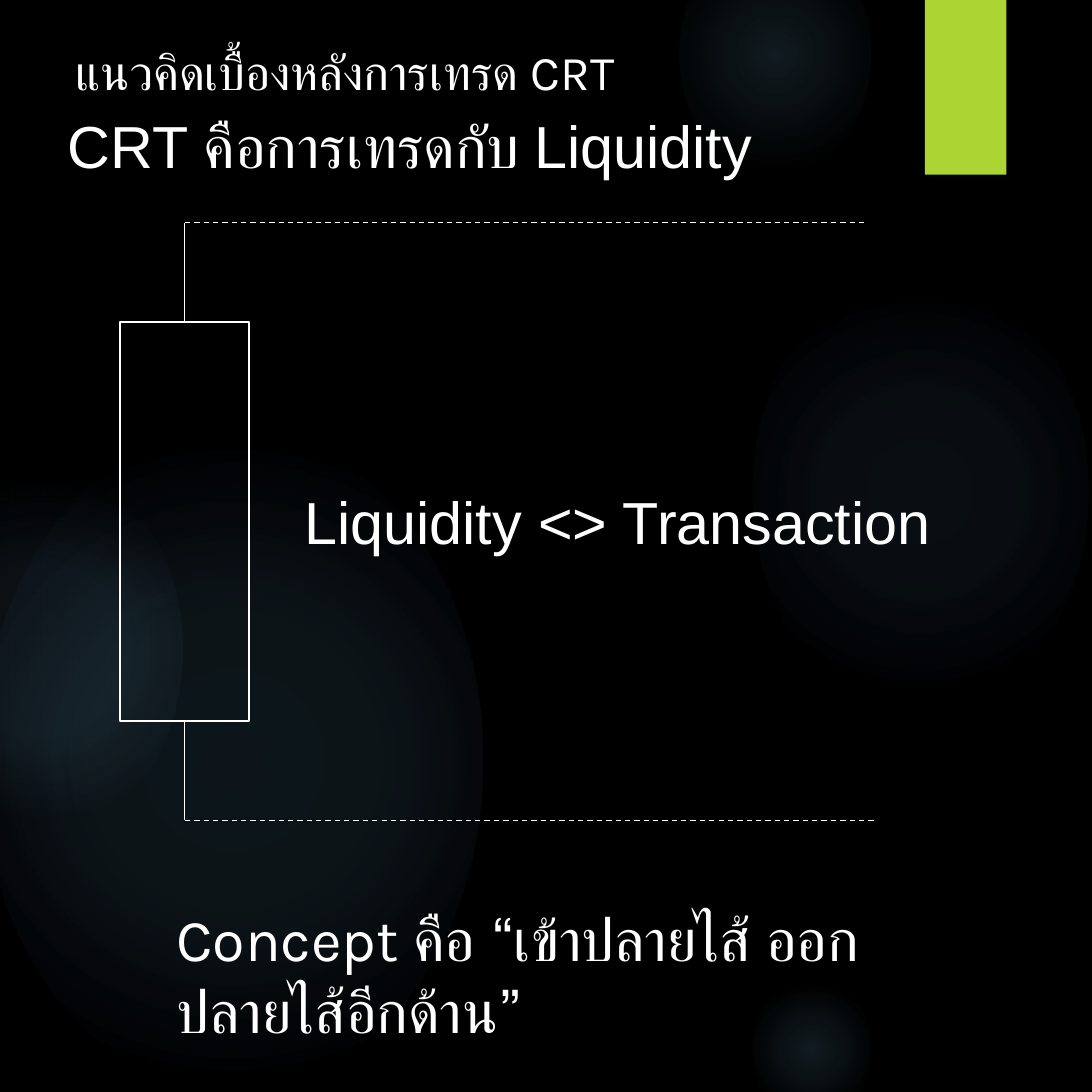
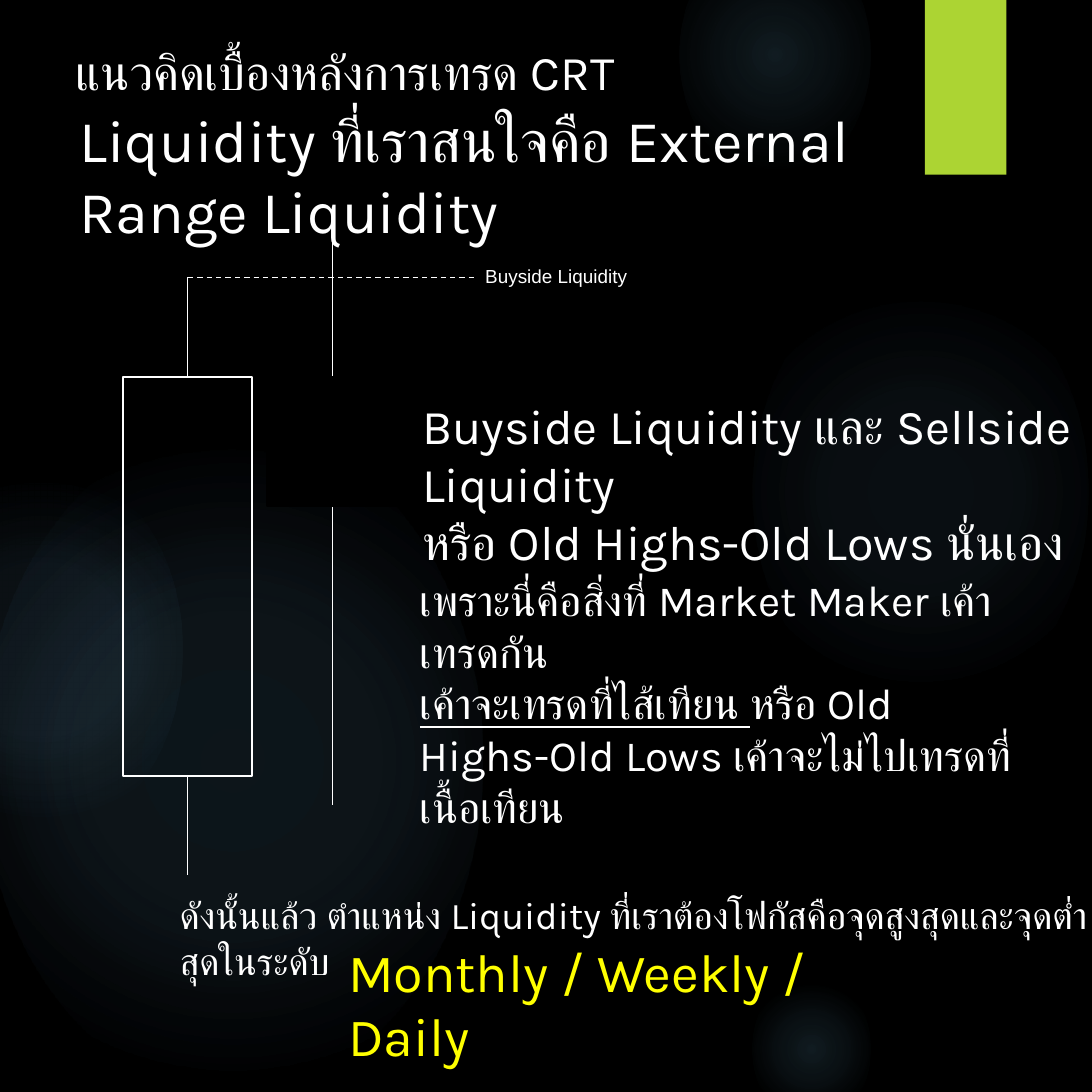
import lxml.etree
import pptx
import pptx.dml.color
import pptx.enum.dml
import pptx.enum.shapes
import pptx.enum.text
import pptx.oxml
import pptx.oxml.ns
import pptx.util

Cm = pptx.util.Cm
Pt = pptx.util.Pt
SHAPES = pptx.enum.shapes.MSO_SHAPE
STRAIGHT = pptx.enum.shapes.MSO_CONNECTOR.STRAIGHT
DASH = pptx.enum.dml.MSO_LINE.DASH
qn = pptx.oxml.ns.qn

BLACK, WHITE, GREEN, YELLOW, GLOW = "000000", "FFFFFF", "ACD433", "FFFF00", "7AC4F0"
LABEL = {"name": "Arial", "size": Pt(14)}
HEADLINE = {"name": "Arial", "size": Pt(44)}
TITLE = {"name": "Karla", "size": Pt(36)}
KARLA_HEADLINE = {"name": "Karla", "size": Pt(44)}
REASON = {"name": "Karla", "size": Pt(32)}
SUMMARY = {"name": "Karla", "size": Pt(28)}
TIMEFRAME = {"name": "Karla", "size": Pt(40)}


def paint(fill, colour):
    fill.solid()
    fill.fore_color.rgb = pptx.dml.color.RGBColor.from_string(colour)


def write(page, place, paragraphs, style, colour=WHITE, wrap=True):
    box = page.shapes.add_textbox(*map(Cm, place))
    frame = box.text_frame
    frame.word_wrap = wrap
    frame.auto_size = pptx.enum.text.MSO_AUTO_SIZE.SHAPE_TO_FIT_TEXT
    for index, spans in enumerate(paragraphs):
        para = frame.add_paragraph() if index else frame.paragraphs[0]
        for text in spans:
            span = para.add_run()
            span.text = text
            for name, value in style.items():
                setattr(span.font, name, value)
            paint(span.font.fill, colour)
    return box


deck = pptx.Presentation()
deck.slide_width = deck.slide_height = Cm(28.58)
paint(deck.slide_master.background.fill, BLACK)
layout = deck.slide_layouts[6]
for placeholder in list(layout.placeholders):
    layout.shapes.element.remove(placeholder.element)
pages = [deck.slides.add_slide(layout) for number in range(2)]

glows = [
    ((19.69, 6.99, 8.81, 11.73), ((0, 7), (36, 6), (69, 0))),
    ((17.78, -1.9, 5, 6.65), ((0, 14), (36, 7), (73, 0))),
    ((19.69, 25.4, 3.1, 4.11), ((0, 14), (36, 7), (66, 0))),
    ((-0.48, 11.13, 13.11, 17.48), ((0, 11), (36, 10), (75, 0))),
    ((-2.62, 12.07, 7.39, 9.86), ((0, 8), (36, 8), (72, 0))),
]
backdrop = []
for place, stops in glows:
    glow = pages[0].shapes.add_shape(SHAPES.OVAL, *map(Cm, place))
    glow.shadow.inherit = False
    glow.line.fill.background()
    stop_xml = "".join(
        f'<a:gs pos="{position * 1000}"><a:srgbClr val="{GLOW}">'
        f'<a:alpha val="{alpha * 1000}"/></a:srgbClr></a:gs>'
        for position, alpha in stops
    )
    gradient = pptx.oxml.parse_xml(
        f'<a:gradFill {pptx.oxml.ns.nsdecls("a")}><a:gsLst>{stop_xml}</a:gsLst>'
        '<a:path path="circle"><a:fillToRect l="50000" t="50000" r="50000" b="50000"/>'
        '</a:path></a:gradFill>'
    )
    glow.element.spPr.find(qn("a:prstGeom")).addnext(gradient)
    backdrop.append(glow)

band = pages[0].shapes.add_shape(SHAPES.RECTANGLE, Cm(24.21), 0, Cm(2.13), Cm(4.57))
paint(band.fill, GREEN)
band.line.fill.background()
band.shadow.inherit = False
band.element.spPr.find(qn("a:effectLst")).append(pptx.oxml.parse_xml(
    f'<a:outerShdw {pptx.oxml.ns.nsdecls("a")} blurRad="{Pt(3)}" dist="{Pt(2)}" dir="5400000">'
    f'<a:srgbClr val="{BLACK}"><a:alpha val="45000"/></a:srgbClr></a:outerShdw>'
))
backdrop.append(band)
for shape in backdrop:
    layout.shapes.element.append(shape.element)

BODY_WIDTH, BODY_HEIGHT, WICK = 3.38, 10.44, 2.6
candles = [
    {"left": 3.15, "top": 8.43, "levels": [(5.83, 22.6), (21.47, 22.89)], "inner": []},
    {"left": 3.23, "top": 9.86, "levels": [(7.26, 12.42)], "inner": [(8.69, 5.56, 21.08)]},
]
for page, candle in zip(pages, candles):
    left, top = candle["left"], candle["top"]
    middle, bottom = left + BODY_WIDTH / 2, top + BODY_HEIGHT
    body = page.shapes.add_shape(
        SHAPES.RECTANGLE, Cm(left), Cm(top), Cm(BODY_WIDTH), Cm(BODY_HEIGHT))
    body.shadow.inherit = False
    body.fill.background()
    paint(body.line.fill, WHITE)
    body.line.width = Pt(1.5)

    strokes = [
        ((middle, top, middle, top - WICK), 0.75, None, 0),
        ((middle, bottom, middle, bottom + WICK), 0.75, None, 2),
    ]
    strokes += [((middle, level, end, level), 1, DASH, None) for level, end in candle["levels"]]
    strokes += [((x, start, x, end), 0.75, None, None) for x, start, end in candle["inner"]]
    for ends, width, dash, side in strokes:
        stroke = page.shapes.add_connector(STRAIGHT, *map(Cm, ends))
        paint(stroke.line.fill, WHITE)
        stroke.line.width = Pt(width)
        if dash is not None:
            stroke.line.dash_style = dash
        if side is not None:
            stroke.begin_connect(body, side)
        lxml.etree.SubElement(stroke.element.spPr, qn("a:effectLst"))

    for x, start, end in candle["inner"]:
        mask = page.shapes.add_shape(
            SHAPES.RECTANGLE, Cm(x - BODY_WIDTH / 2), Cm(top), Cm(BODY_WIDTH), Cm(BODY_WIDTH))
        mask.shadow.inherit = False
        paint(mask.fill, BLACK)
        paint(mask.line.fill, BLACK)
        mask.line.width = Pt(1.5)

    write(page, (1.73, 0.97, 15.72, 1.8), [["แนวคิดเบื้องหลังการเทรด CRT"]], TITLE)

concept, focus = pages
write(concept, (1.52, 2.74, 19.51, 2.13), [["CRT คือการเทรดกับ Liquidity"]], HEADLINE)
write(concept, (7.72, 12.57, 17.07, 2.13), [["Liquidity <> Transaction"]], HEADLINE)
write(concept, (4.37, 23.5, 20.22, 4),
      [["Concept คือ “เข้าปลายไส้ ออกปลายไส้อีกด้าน”"]], KARLA_HEADLINE)

write(focus, (1.83, 2.57, 21.26, 4),
      [["Liquidity ที่เราสนใจคือ External Range Liquidity"]], KARLA_HEADLINE)
write(focus, (12.45, 6.81, 4.24, 0.86), [["Buyside Liquidity"]], LABEL, wrap=False)
write(focus, (10.8, 10.24, 17.78, 4.6),
      [["Buyside Liquidity และ Sellside Liquidity"], ["หรือ Old Highs-Old Lows นั่นเอง"]], TITLE)
reason = write(focus, (10.74, 14.88, 16.33, 6.8), [
    ["เพราะนี่คือสิ่งที่ Market Maker เค้าเทรดกัน"],
    ["เค้าจะเทรดที่ไส้เทียน ", "หรือ Old Highs-Old Lows เค้าจะไม่ไปเทรดที่เนื้อเทียน"],
], REASON)
reason.text_frame.paragraphs[1].runs[0].font.underline = True
write(focus, (4.45, 23.22, 24.49, 2.6),
      [["ดังนั้นแล้ว ตำแหน่ง Liquidity ที่เราต้องโฟกัสคือจุดสูงสุดและจุดต่ำสุดในระดับ"]], SUMMARY)
write(focus, (8.86, 24.43, 13.39, 3.6), [["Monthly / Weekly / Daily"]], TIMEFRAME, YELLOW)

deck.save("out.pptx")
